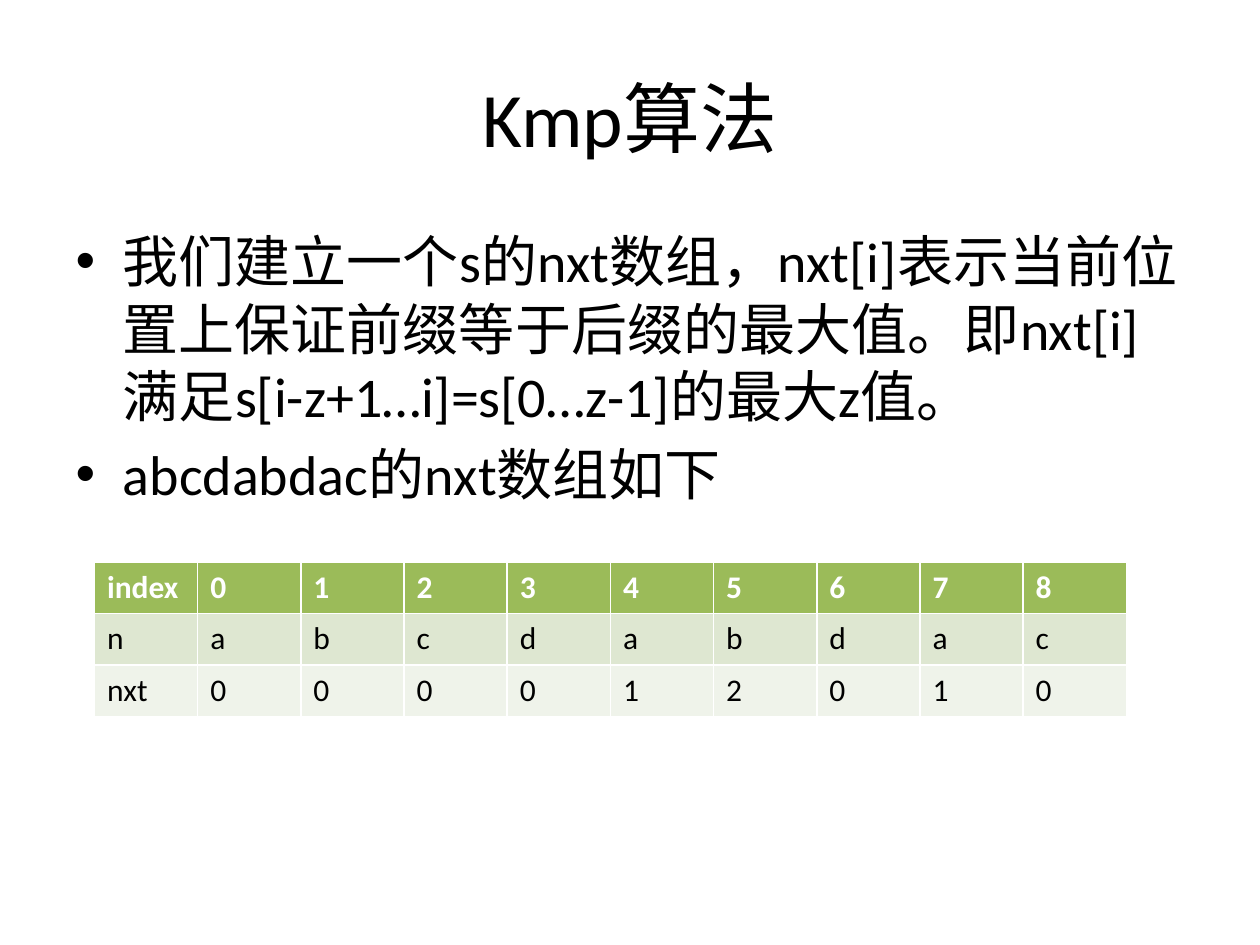
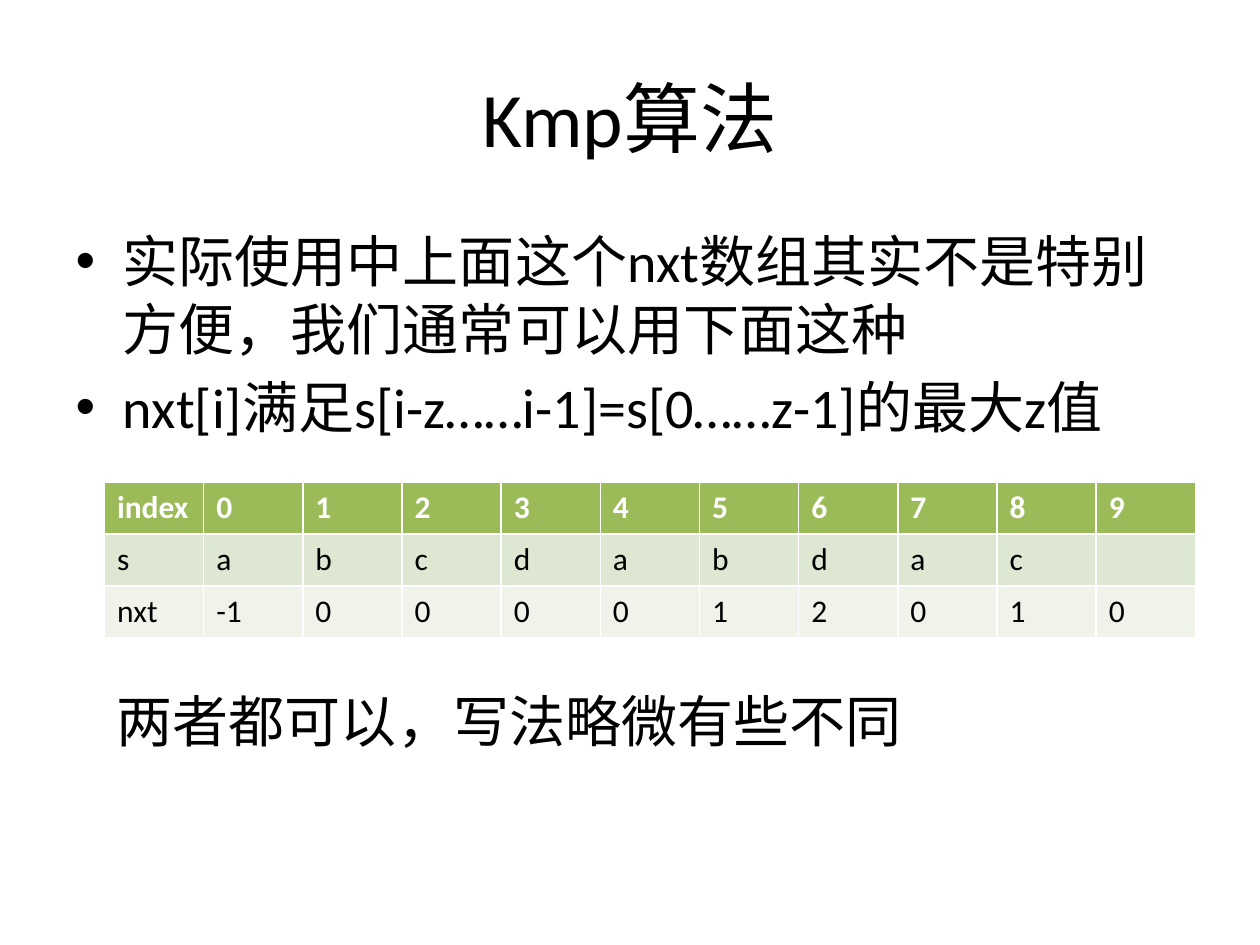
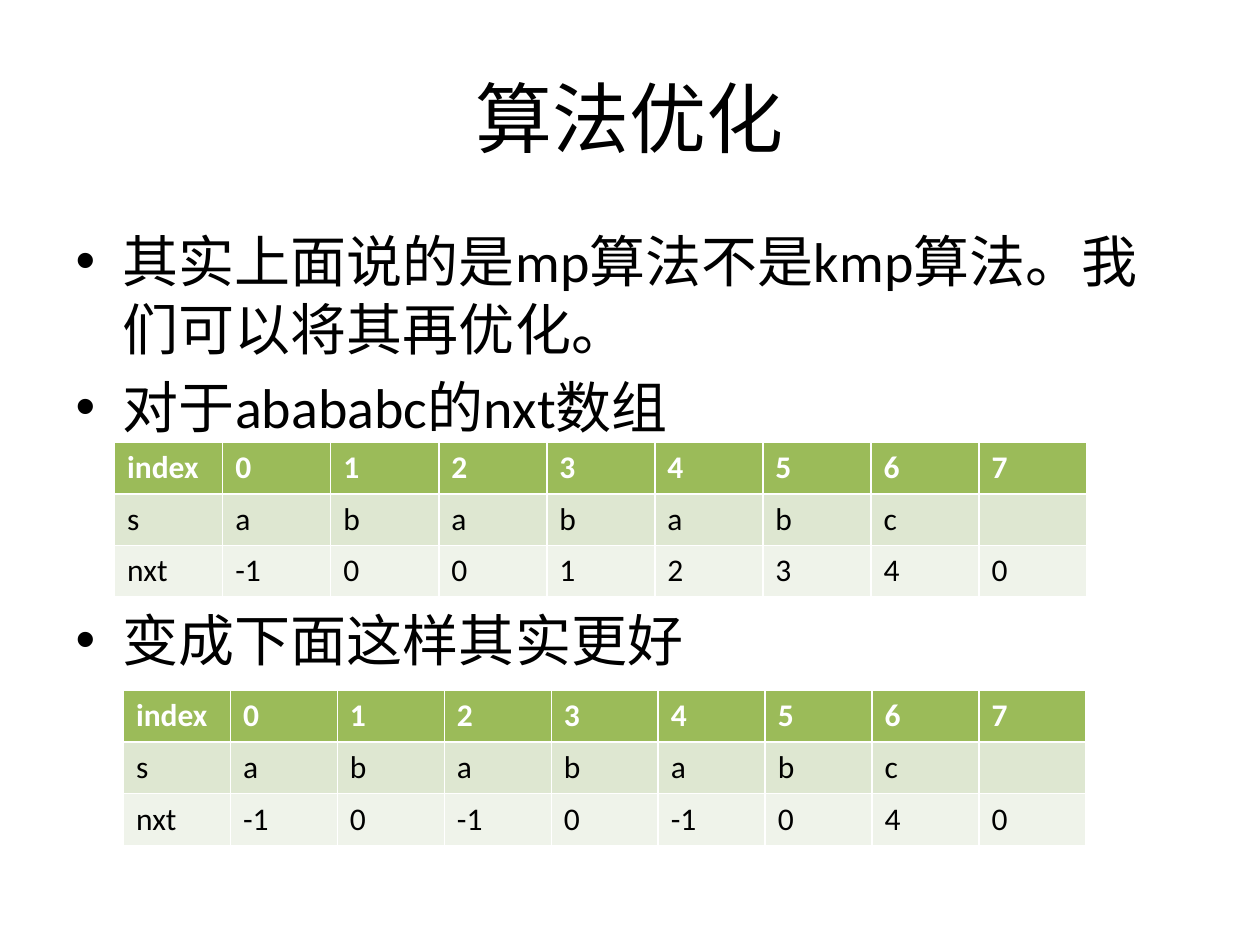
import pptx
import pptx.dml.color
import pptx.enum.text
import pptx.util

Inches = pptx.util.Inches
Pt = pptx.util.Pt

FONT = "Calibri"
BLACK = "000000"
WHITE = "FFFFFF"
ROW_FILLS = ["9BBB59", "DEE7D1", "EFF3EA"]
ROW_HEIGHT = 0.41


def color(hex_string):
    return pptx.dml.color.RGBColor.from_string(hex_string)


def format_text(text_frame, size, font_color=BLACK, bold=False):
    for paragraph in text_frame.paragraphs:
        for run in paragraph.runs:
            run.font.name = FONT
            run.font.size = Pt(size)
            run.font.bold = bold
            run.font.color.rgb = color(font_color)


# Each table: left, top, width, name of the string row, string, nxt values
slides = [
    {
        "title": "Kmp算法",
        "bullets": [
            "我们建立一个s的nxt数组，nxt[i]表示当前位置上保证前缀等于后缀的最大值。"
            "即nxt[i]满足s[i-z+1…i]=s[0…z-1]的最大z值。",
            "abcdabdac的nxt数组如下",
        ],
        "tables": [(0.75, 4.46, 8.19, "n", "abcdabdac", [0, 0, 0, 0, 1, 2, 0, 1, 0])],
    },
    {
        "title": "Kmp算法",
        "bullets": [
            "实际使用中上面这个nxt数组其实不是特别方便，我们通常可以用下面这种",
            "nxt[i]满足s[i-z……i-1]=s[0……z-1]的最大z值",
        ],
        "tables": [(0.83, 3.83, 8.66, "s", "abcdabdac", [-1, 0, 0, 0, 0, 1, 2, 0, 1, 0])],
        "remark": "两者都可以，写法略微有些不同",
    },
    {
        "title": "算法优化",
        "bullets": [
            "其实上面说的是mp算法不是kmp算法。我们可以将其再优化。",
            "对于abababc的nxt数组",
            "变成下面这样其实更好",
        ],
        "tables": [
            (0.91, 3.51, 7.72, "s", "abababc", [-1, 0, 0, 1, 2, 3, 4, 0]),
            (0.98, 5.48, 7.64, "s", "abababc", [-1, 0, -1, 0, -1, 0, 4, 0]),
        ],
        "gap_before_last_bullet": 95,
    },
]

presentation = pptx.Presentation()
presentation.slide_width = Inches(10)
presentation.slide_height = Inches(7.5)

for content in slides:
    slide = presentation.slides.add_slide(presentation.slide_layouts[1])

    title = slide.shapes.title
    title.left, title.top, title.width, title.height = map(Inches, (0.5, 0.3, 9, 1.25))
    title.text_frame.text = content["title"]
    format_text(title.text_frame, 44)

    body = slide.placeholders[1]
    body.left, body.top, body.width, body.height = map(Inches, (0.5, 1.75, 9, 4.95))
    body.text_frame.text = "\n".join(content["bullets"])
    format_text(body.text_frame, 32)
    body.text_frame.paragraphs[0].space_before = Pt(0)
    if "gap_before_last_bullet" in content:
        body.text_frame.paragraphs[-1].space_before = Pt(content["gap_before_last_bullet"])

    for left, top, width, name, string, nxt in content["tables"]:
        padding = [""] * (len(nxt) - len(string))
        rows = [["index", *range(len(nxt))], [name, *string, *padding], ["nxt", *nxt]]
        table = slide.shapes.add_table(
            len(rows), len(nxt) + 1,
            Inches(left), Inches(top), Inches(width), Inches(ROW_HEIGHT * len(rows)),
        ).table
        for row_index, values in enumerate(rows):
            is_header = row_index == 0
            for column_index, value in enumerate(values):
                cell = table.cell(row_index, column_index)
                cell.fill.solid()
                cell.fill.fore_color.rgb = color(ROW_FILLS[row_index])
                cell.text_frame.text = str(value)
                format_text(cell.text_frame, 18, WHITE if is_header else BLACK, is_header)

    if "remark" in content:
        remark = slide.shapes.add_textbox(Inches(0.83), Inches(5.4), Inches(7.87), Inches(0.64))
        remark.text_frame.word_wrap = True
        remark.text_frame.auto_size = pptx.enum.text.MSO_AUTO_SIZE.SHAPE_TO_FIT_TEXT
        remark.text_frame.text = content["remark"]
        format_text(remark.text_frame, 32)

presentation.save("out.pptx")
